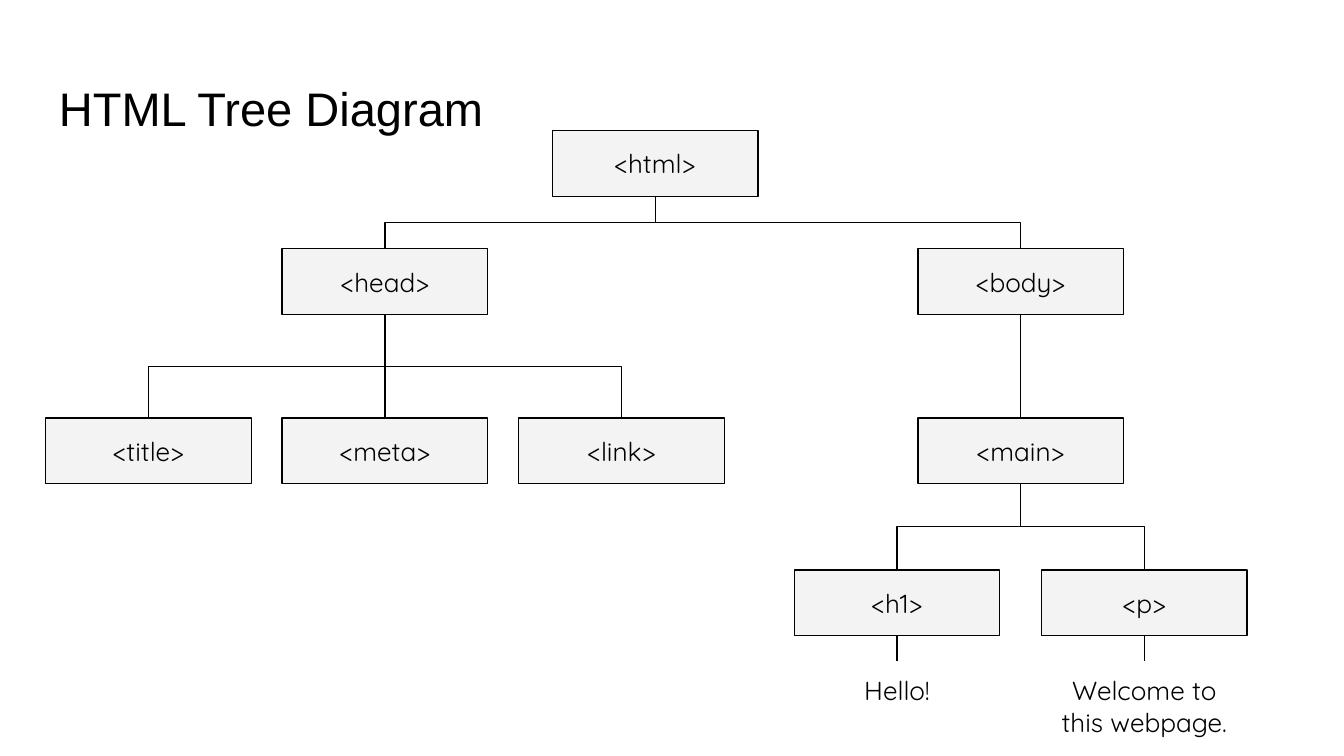
import pptx
import pptx.util
import pptx.dml.color
import pptx.enum.shapes
import pptx.enum.text
from lxml import etree

Inches = pptx.util.Inches
Pt = pptx.util.Pt
Kind = pptx.enum.shapes.MSO_CONNECTOR
Anchor = pptx.enum.text.MSO_ANCHOR
Align = pptx.enum.text.PP_ALIGN

COLORS = {"ink": "000000", "box": "F3F3F3"}
WIDE, HIGH = 1.53, 0.49
TAGS = {
    "html": (4.11, 0.97),
    "head": (2.1, 1.85),
    "body": (6.83, 1.85),
    "title": (0.34, 3.11),
    "meta": (2.1, 3.11),
    "link": (3.86, 3.11),
    "main": (6.83, 3.11),
    "h1": (5.91, 4.24),
    "p": (7.75, 4.24),
}
NOTES = {"h1": "Hello!", "p": "Welcome to this webpage."}
TREE = {
    "html": ["head", "body"],
    "head": ["title", "meta", "link"],
    "body": ["main"],
    "main": ["h1", "p"],
}
LABEL = {"name": "Quicksand", "size": Pt(14)}
HEADING = {"name": "Arial", "size": Pt(25.2)}


def color(name):
    return pptx.dml.color.RGBColor.from_string(COLORS[name])


def apply(item, values):
    for key, value in values.items():
        setattr(item, key, value)


def write(shape, text, font, align, anchor):
    frame = shape.text_frame
    apply(frame, {
        "word_wrap": True,
        "vertical_anchor": anchor,
        "margin_left": Inches(0.1),
        "margin_right": Inches(0.1),
        "margin_top": Inches(0.1),
        "margin_bottom": Inches(0.1),
    })
    para = frame.paragraphs[0]
    para.text = text
    para.alignment = align
    apply(para.font, font)
    para.font.color.rgb = color("ink")


def add_text(slide, place, text, font, align, anchor):
    shape = slide.shapes.add_textbox(*map(Inches, place))
    write(shape, text, font, align, anchor)
    return shape


def add_tag(slide, left, top, name):
    shape = slide.shapes.add_shape(
        pptx.enum.shapes.MSO_SHAPE.RECTANGLE,
        *map(Inches, (left, top, WIDE, HIGH)))
    shape.shadow.inherit = False
    shape.fill.solid()
    shape.fill.fore_color.rgb = color("box")
    shape.line.color.rgb = color("ink")
    shape.line.width = Pt(0.75)
    write(shape, f"<{name}>", LABEL, Align.CENTER, Anchor.MIDDLE)
    return shape


def turn(line):
    run = line.end_x - line.begin_x
    drop = line.end_y - line.begin_y
    mid_x = (line.begin_x + line.end_x) // 2
    mid_y = (line.begin_y + line.end_y) // 2
    apply(line, {
        "left": mid_x - drop // 2,
        "top": mid_y - abs(run) // 2,
        "width": drop,
        "height": abs(run),
    })
    frame = line._element.spPr.find(pptx.oxml.ns.qn("a:xfrm"))
    frame.set("rot", "16200000" if run > 0 else "5400000")
    frame.set("flipH", "1" if run > 0 else "0")
    frame.set("flipV", "0")


def join(slide, upper, lower):
    straight = upper.left == lower.left
    kind = Kind.STRAIGHT if straight else Kind.ELBOW
    line = slide.shapes.add_connector(kind, 0, 0, 0, 0)
    line.begin_connect(upper, 2)
    line.end_connect(lower, 0)
    if not straight:
        turn(line)
    line.line.color.rgb = color("ink")
    line.line.width = Pt(0.75)
    etree.SubElement(line._element.spPr, pptx.oxml.ns.qn("a:effectLst"))


def main():
    deck = pptx.Presentation()
    deck.slide_width = Inches(10)
    deck.slide_height = deck.slide_width * 9 // 16
    slide = deck.slides.add_slide(deck.slide_layouts[6])

    add_text(slide, (0.34, 0.49, 9.32, 0.63), "HTML Tree Diagram",
             HEADING, Align.LEFT, Anchor.MIDDLE)
    boxes = {name: add_tag(slide, left, top, name)
             for name, (left, top) in TAGS.items()}
    for name, kids in TREE.items():
        for kid in kids:
            join(slide, boxes[name], boxes[kid])
    for name, text in NOTES.items():
        place = (TAGS[name][0], 4.92, WIDE, 0.45)
        note = add_text(slide, place, text, LABEL, Align.CENTER, Anchor.TOP)
        join(slide, boxes[name], note)

    deck.save("out.pptx")


if __name__ == "__main__":
    main()
